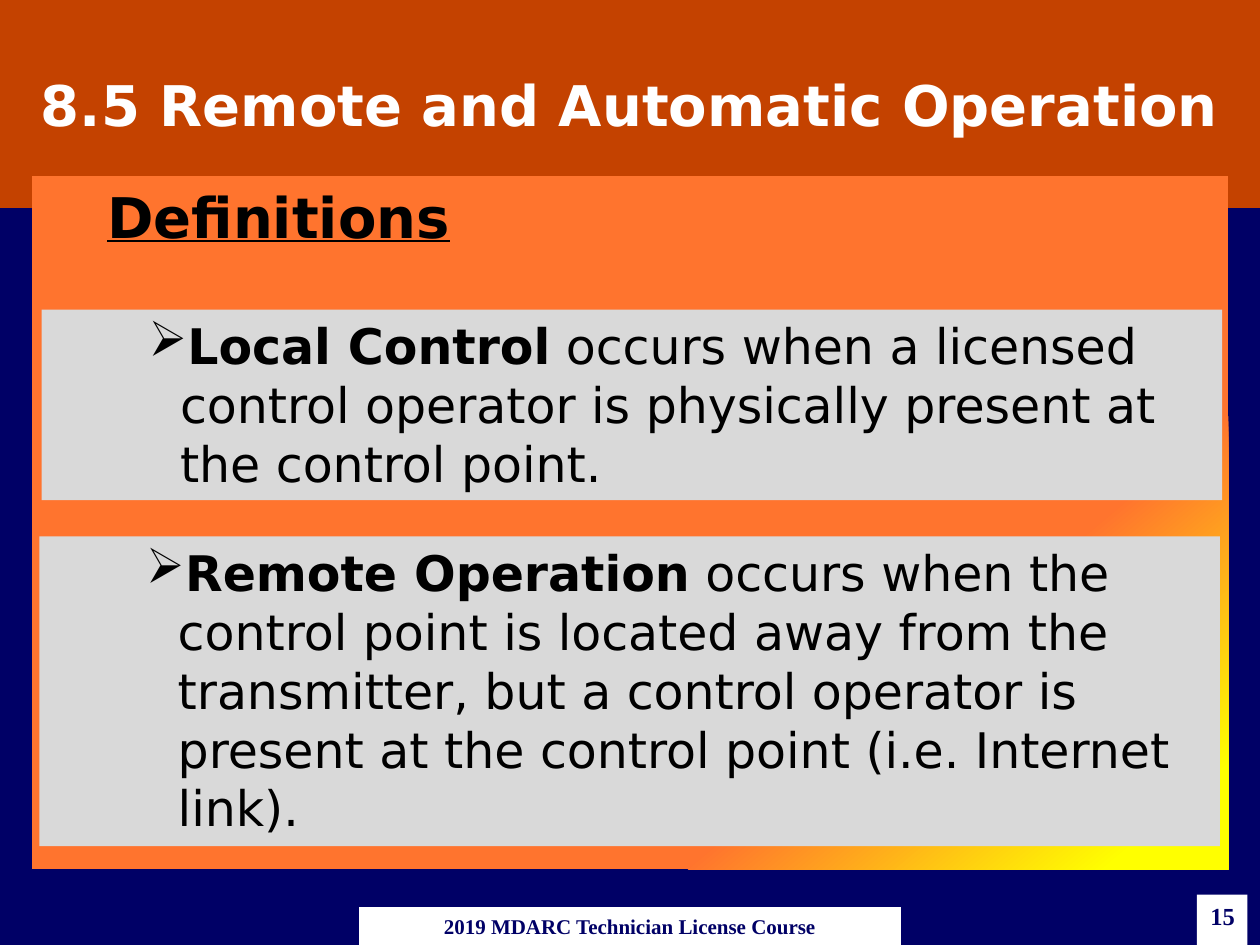
from dataclasses import dataclass

from lxml.etree import SubElement
from pptx import Presentation
from pptx.dml.color import RGBColor
from pptx.enum.text import MSO_ANCHOR as Anchor, MSO_AUTO_SIZE as AutoSize, PP_ALIGN as Align
from pptx.oxml.ns import qn
from pptx.util import Pt


@dataclass(frozen=True)
class Theme:
    sans: str = "DejaVu Sans"
    serif: str = "Times New Roman"
    navy: str = "000066"
    rust: str = "C44200"
    orange: str = "FF742E"
    yellow: str = "FFFF00"
    gray: str = "D9D9D9"
    white: str = "FFFFFF"
    black: str = "000000"
    heading: int = 32
    definition: int = 28
    number: int = 14
    footer: int = 12


class SlideBuilder:
    def __init__(self, slide, theme):
        self.slide = slide
        self.theme = theme
        self.paint(slide.background.fill, theme.navy)

    def paint(self, fill, color):
        fill.solid()
        fill.fore_color.rgb = RGBColor.from_string(color)

    def place(self, shape, left, top, width, height):
        shape.left, shape.top = Pt(left), Pt(top)
        shape.width, shape.height = Pt(width), Pt(height)
        frame = shape.text_frame
        frame.word_wrap = True
        frame.auto_size = AutoSize.NONE
        return frame

    def add_text(self, paragraph, text, face, size, color, bold=True, underline=False):
        run = paragraph.add_run()
        run.text = text
        font = run.font
        font.name, font.size = face, Pt(size)
        font.bold, font.underline = bold, underline
        font.color.rgb = RGBColor.from_string(color)

    def indent(self, paragraph, left, first, bullet=None):
        properties = paragraph._p.get_or_add_pPr()
        properties.set("marL", str(Pt(left)))
        properties.set("indent", str(Pt(first)))
        if bullet:
            SubElement(properties, qn("a:buChar")).set("char", bullet)
        else:
            SubElement(properties, qn("a:buNone"))

    def title(self, text, *box):
        banner = self.slide.shapes.title
        frame = self.place(banner, *box)
        frame.vertical_anchor = Anchor.MIDDLE
        self.paint(banner.fill, self.theme.rust)
        heading = frame.paragraphs[0]
        heading.alignment = Align.CENTER
        self.add_text(heading, text, self.theme.sans, self.theme.heading, self.theme.white)

    def body(self, text, *box):
        panel = self.slide.placeholders[1]
        frame = self.place(panel, *box)
        frame.vertical_anchor = Anchor.TOP
        panel.fill.gradient()
        panel.fill.gradient_angle = 310
        colors = (0.73, self.theme.orange), (0.94, self.theme.yellow)
        for stop, (position, color) in zip(panel.fill.gradient_stops, colors):
            stop.position = position
            stop.color.rgb = RGBColor.from_string(color)
        subheading = frame.paragraphs[0]
        subheading.level = 1
        self.indent(subheading, 36, 0)
        subheading.space_before = Pt(0)
        self.add_text(subheading, text, self.theme.sans, self.theme.heading,
                      self.theme.black, underline=True)

    def panel(self, color, *box):
        panel = self.slide.shapes.add_textbox(*map(Pt, box))
        self.paint(panel.fill, color)
        return self.place(panel, *box).paragraphs[0]

    def definition(self, term, meaning, *box):
        entry = self.panel(self.theme.gray, *box)
        entry.level = 2
        self.indent(entry, 72, -18, "➢")
        for text, bold in ((term, True), (meaning, False)):
            self.add_text(entry, text, self.theme.sans, self.theme.definition,
                          self.theme.black, bold)

    def label(self, text, size, align, *box):
        caption = self.panel(self.theme.white, *box)
        caption.alignment = align
        self.add_text(caption, text, self.theme.serif, size, self.theme.navy)


def main():
    deck = Presentation()
    deck.slide_width, deck.slide_height = Pt(720), Pt(540)
    theme = Theme()
    page = SlideBuilder(deck.slides.add_slide(deck.slide_layouts[1]), theme)
    page.title("8.5 Remote and Automatic Operation", 0, 0, 720, 118.8)
    page.body("Definitions", 18, 100.8, 684, 396)
    page.label("15", theme.number, Align.RIGHT, 684, 511.2, 28.8, 28.8)
    page.definition(
        "Local Control",
        " occurs when a licensed control operator is physically present at the control point.",
        23.8, 177, 674.6, 108.8)
    page.definition(
        "Remote Operation",
        " occurs when the control point is located away from the transmitter, but a control "
        "operator is present at the control point (i.e. Internet link).",
        22.5, 306.5, 674.6, 177)
    page.label("2019 MDARC Technician License Course", theme.footer, Align.CENTER,
               205.2, 518.4, 309.6, 21.6)
    deck.save("out.pptx")


if __name__ == "__main__":
    main()
